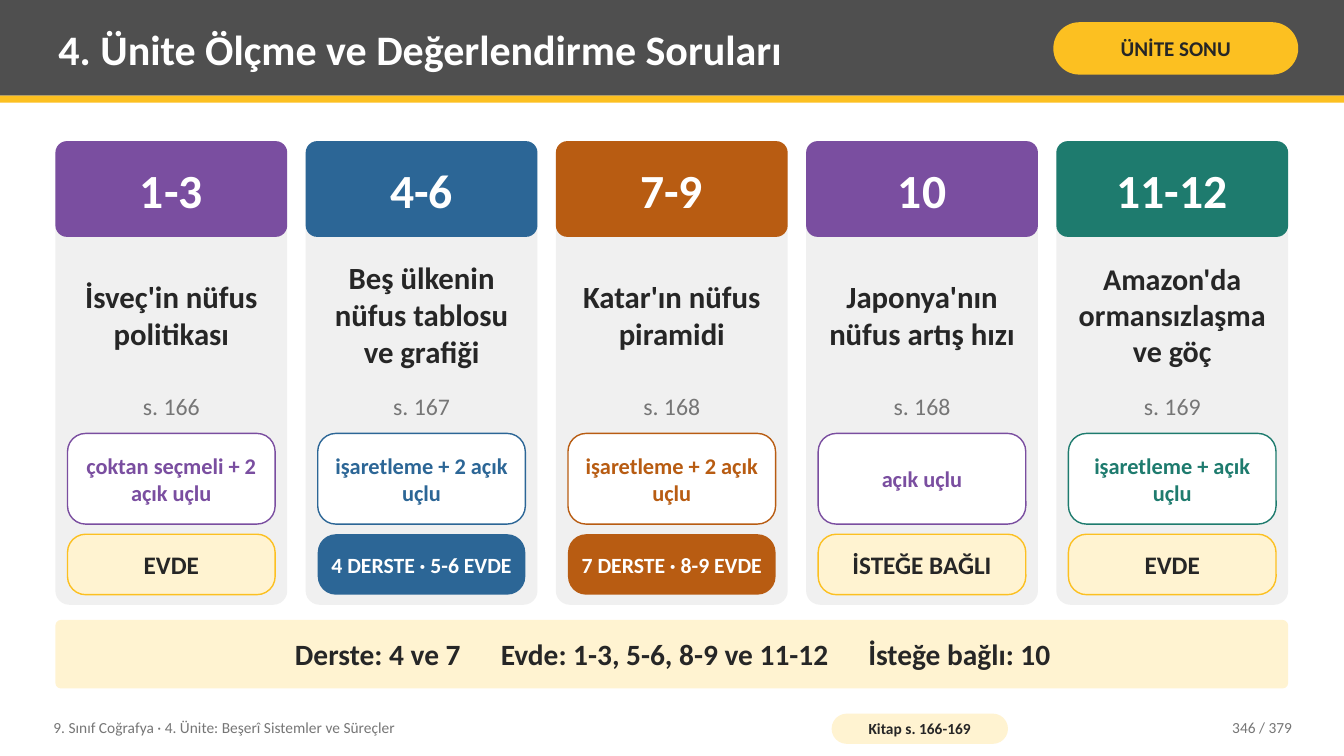
from pptx import Presentation
from pptx.dml.color import RGBColor
from pptx.enum.shapes import MSO_SHAPE as Shape
from pptx.enum.text import MSO_ANCHOR as Anchor, MSO_AUTO_SIZE as AutoSize, PP_ALIGN as Align
from pptx.oxml import parse_xml
from pptx.oxml.ns import nsdecls
from pptx.util import Pt

FONT = "Calibri"
WHITE, DARK, GREY = "FFFFFF", "262626", "767676"
YELLOW, CREAM, CARD_GREY, HEADER_GREY = "FCC021", "FFF3D1", "F0F0F0", "4F4F4F"
PURPLE, BLUE, ORANGE, GREEN = "7A4EA0", "2C6696", "B85C12", "1E7B6E"

SLIDE_WIDTH, SLIDE_HEIGHT = 960, 540
LEFT, CONTENT_WIDTH = 39.6, 880.56
CARD_TOP, CARD_WIDTH, CARD_HEIGHT = 100.8, 165.6, 331.2
TEXT_INSETS = (5.76, 2.88)
PANEL_INSETS = (10, 5.76)
PILL_INSETS = (3.6, 5.76)

# questions, topic, topic size, page, question type, place, taught in class, colour
CARDS = [
    ("1-3", "İsveç'in nüfus politikası", 22, "s. 166",
     "çoktan seçmeli + 2 açık uçlu", "EVDE", False, PURPLE),
    ("4-6", "Beş ülkenin nüfus tablosu ve grafiği", 22, "s. 167",
     "işaretleme + 2 açık uçlu", "4 DERSTE · 5-6 EVDE", True, BLUE),
    ("7-9", "Katar'ın nüfus piramidi", 22, "s. 168",
     "işaretleme + 2 açık uçlu", "7 DERSTE · 8-9 EVDE", True, ORANGE),
    ("10", "Japonya'nın nüfus artış hızı", 22, "s. 168",
     "açık uçlu", "İSTEĞE BAĞLI", False, PURPLE),
    ("11-12", "Amazon'da ormansızlaşma ve göç", 21.5, "s. 169",
     "işaretleme + açık uçlu", "EVDE", False, GREEN),
]


def color(hex_string):
    return RGBColor.from_string(hex_string)


def add_box(slide, bounds, fill, line=None, corner=None):
    """Add a filled rectangle, rounded when a corner ratio is given."""
    kind = Shape.RECTANGLE if corner is None else Shape.ROUNDED_RECTANGLE
    shape = slide.shapes.add_shape(kind, *map(Pt, bounds))
    if corner is not None:
        shape.adjustments[0] = corner
    shape.shadow.inherit = False
    shape.fill.solid()
    shape.fill.fore_color.rgb = color(fill)
    if line:
        shape.line.color.rgb = color(line)
        shape.line.width = Pt(1)
    else:
        shape.line.fill.background()
    return shape


def write(shape, text, size, text_color, bold=True, align=Align.CENTER,
          anchor=Anchor.MIDDLE, insets=PANEL_INSETS):
    frame = shape.text_frame
    frame.word_wrap = True
    frame.auto_size = AutoSize.NONE
    frame.vertical_anchor = anchor
    frame.margin_left = frame.margin_right = Pt(insets[0])
    frame.margin_top = frame.margin_bottom = Pt(insets[1])
    frame.text = text
    paragraph = frame.paragraphs[0]
    paragraph.alignment = align
    for run in paragraph.runs:
        font = run.font
        font.name, font.size, font.bold = FONT, Pt(size), bold
        font.color.rgb = color(text_color)


def add_text(slide, bounds, text, size, text_color, **style):
    shape = slide.shapes.add_textbox(*map(Pt, bounds))
    write(shape, text, size, text_color, insets=TEXT_INSETS, **style)


def add_header(slide):
    add_box(slide, (0, 0, SLIDE_WIDTH, 68.4), HEADER_GREY)
    add_box(slide, (0, 68.4, SLIDE_WIDTH, 5.04), YELLOW)
    title = slide.shapes.title
    slide.shapes.element.append(title.element)  # bring the title above the band
    title.left, title.top, title.width, title.height = map(Pt, (36, 5.04, 702, 59.04))
    write(title, "4. Ünite Ölçme ve Değerlendirme Soruları", 30, WHITE,
          align=Align.LEFT, insets=TEXT_INSETS)
    badge = add_box(slide, (752.4, 15.84, 174.96, 37.44), YELLOW, corner=0.5)
    write(badge, "ÜNİTE SONU", 15, DARK, insets=(3.6, 1.44))


def add_card(slide, left, card):
    questions, topic, topic_size, page, question_type, place, in_class, accent = card
    add_box(slide, (left, CARD_TOP, CARD_WIDTH, CARD_HEIGHT), CARD_GREY, corner=0.06)
    heading = add_box(slide, (left, CARD_TOP, CARD_WIDTH, 68.4), accent, corner=0.12)
    write(heading, questions, 34, WHITE)

    text_left, text_width = left + 7.2, CARD_WIDTH - 14.4
    add_text(slide, (text_left, 174.24, text_width, 100.8), topic, topic_size, DARK)
    add_text(slide, (text_left, 277.2, text_width, 28.8), page, 17, GREY,
             bold=False, anchor=Anchor.TOP)

    pill_left, pill_width = left + 8.64, CARD_WIDTH - 17.28
    type_pill = add_box(slide, (pill_left, 309.6, pill_width, 64.8), WHITE, accent, 0.2)
    write(type_pill, question_type, 16, accent, insets=PILL_INSETS)
    fill, line, size, text_color = (
        (accent, None, 15.5, WHITE) if in_class else (CREAM, YELLOW, 18, DARK))
    place_pill = add_box(slide, (pill_left, 381.6, pill_width, 43.2), fill, line, 0.3)
    write(place_pill, place, size, text_color, insets=PILL_INSETS)


def set_tab_stops(paragraph, positions):
    stops = "".join(f'<a:tab pos="{Pt(position)}" algn="l"/>' for position in positions)
    tabs = parse_xml(f'<a:tabLst {nsdecls("a")}>{stops}</a:tabLst>')
    paragraph._p.get_or_add_pPr().append(tabs)


def add_summary(slide):
    bar = add_box(slide, (LEFT, 442.8, CONTENT_WIDTH, 48.96), CREAM, corner=0.08)
    write(bar, "Derste: 4 ve 7\tEvde: 1-3, 5-6, 8-9 ve 11-12\tİsteğe bağlı: 10",
          21, DARK, align=Align.LEFT)
    bar.text_frame.margin_left = Pt(170)
    set_tab_stops(bar.text_frame.paragraphs[0], (147, 409.5))


def add_footer(slide):
    add_text(slide, (32.4, 506.88, 547.2, 25.92),
             "9. Sınıf Coğrafya · 4. Ünite: Beşerî Sistemler ve Süreçler",
             11, GREY, bold=False, align=Align.LEFT)
    pages = add_box(slide, (594, 509.76, 126, 21.6), CREAM, corner=0.5)
    write(pages, "Kitap s. 166-169", 11, DARK, insets=(2.88, 0))
    add_text(slide, (813.6, 506.88, 115.2, 25.92), "346 / 379", 11, GREY,
             bold=False, align=Align.RIGHT)


def main():
    presentation = Presentation()
    presentation.slide_width, presentation.slide_height = Pt(SLIDE_WIDTH), Pt(SLIDE_HEIGHT)
    slide = presentation.slides.add_slide(presentation.slide_layouts[5])
    add_header(slide)
    pitch = (CONTENT_WIDTH - CARD_WIDTH) / (len(CARDS) - 1)
    for index, card in enumerate(CARDS):
        add_card(slide, LEFT + index * pitch, card)
    add_summary(slide)
    add_footer(slide)
    presentation.save("out.pptx")


if __name__ == "__main__":
    main()
